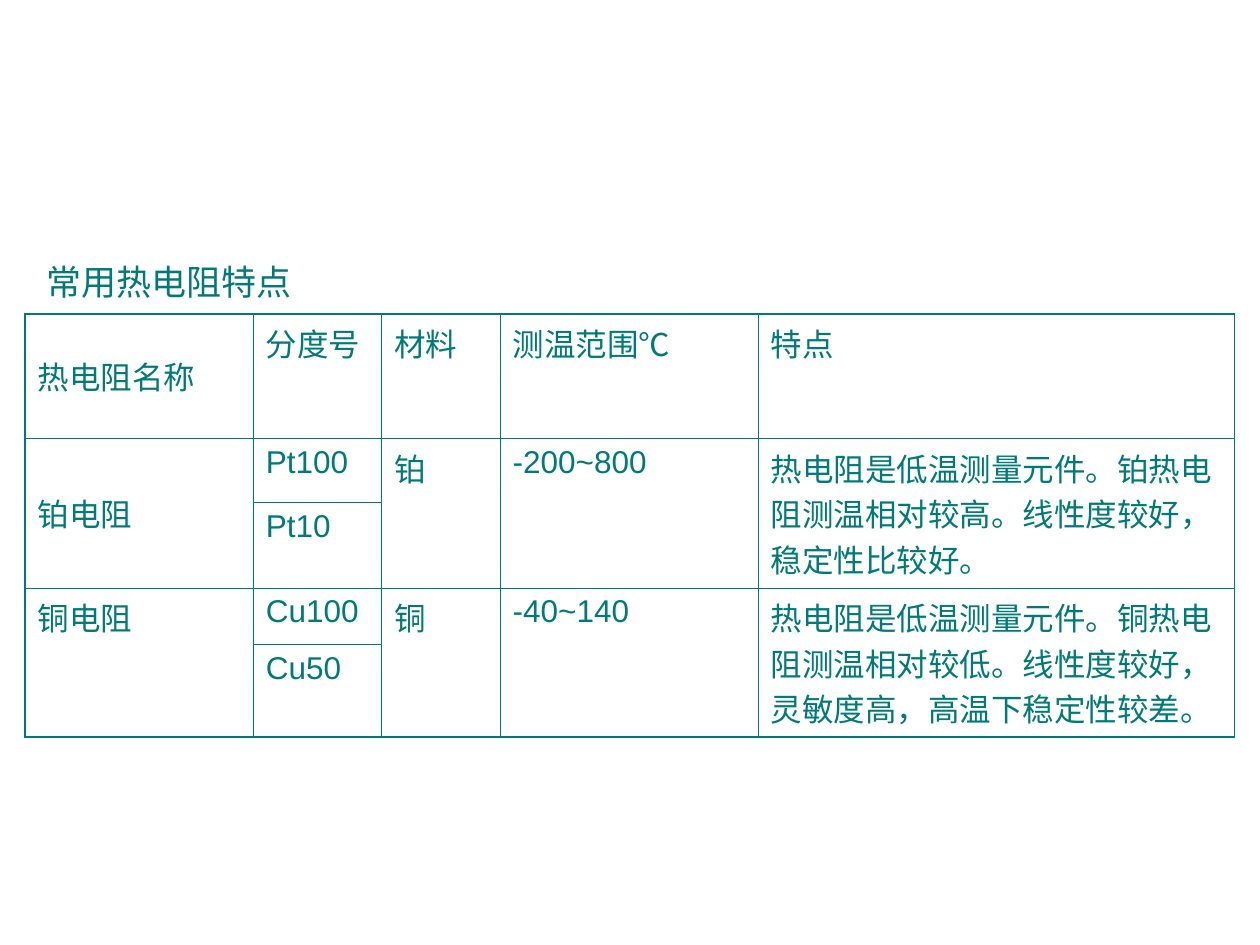
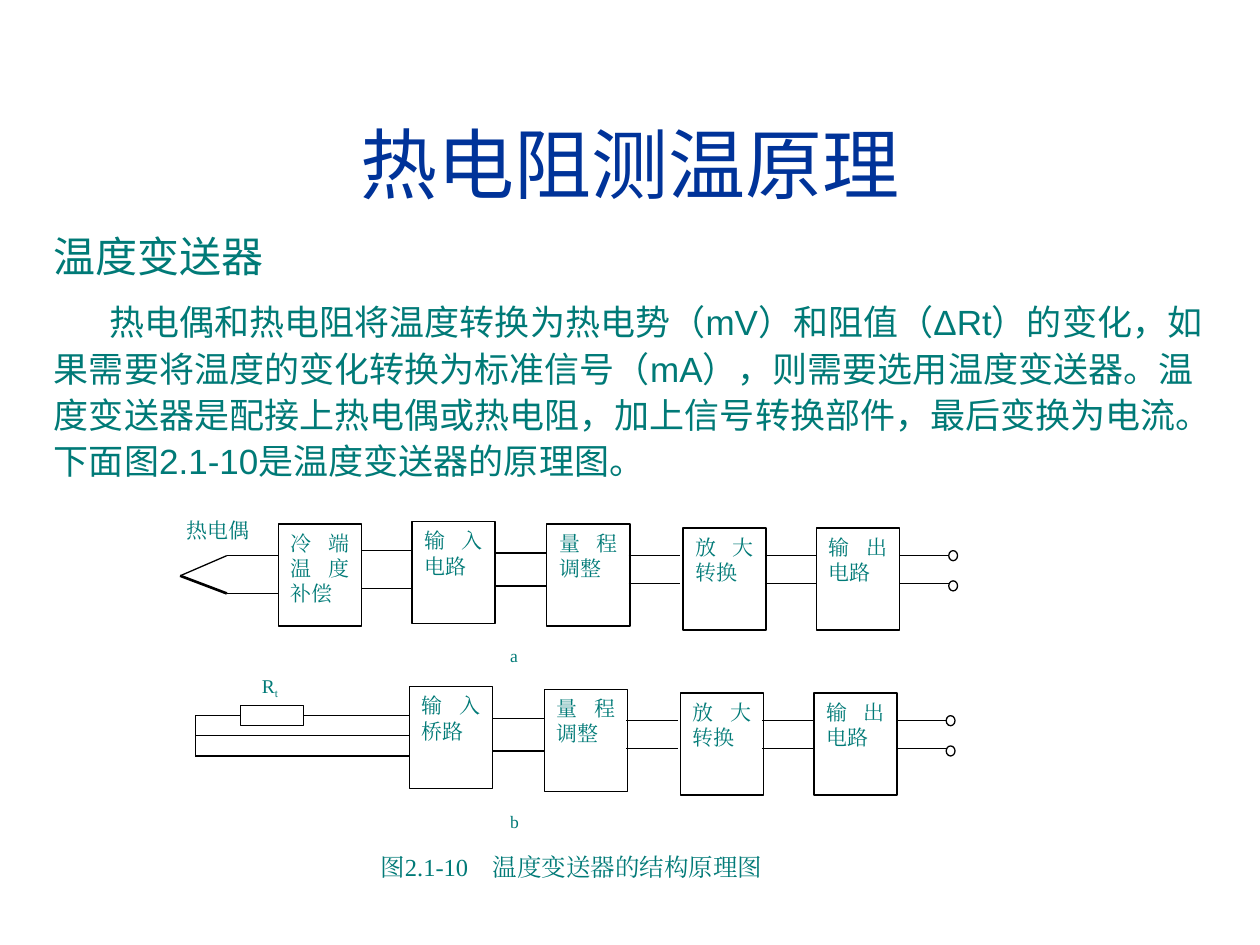
from lxml import etree
from pptx import Presentation
from pptx.dml.color import RGBColor
from pptx.enum.shapes import MSO_CONNECTOR as Conn, MSO_SHAPE as Shape
from pptx.enum.text import MSO_ANCHOR as Anchor, PP_ALIGN as Align
from pptx.oxml.ns import qn
from pptx.util import Inches, Pt

COLORS = {"text": "007A77", "title": "003399", "line": "000000", "fill": "FFFFFF"}
SANS, SERIF = "Arial", "Times New Roman"
TITLE_ONLY, BLANK = 5, 6
OUTER, INNER = 1.08, 0.45


def rgb(name):
    return RGBColor.from_string(COLORS[name])


def write(tf, text, size=12, font=SANS, color="text", align=None, before=0,
          spacing=None, indent=0, tab=None, sub="", ea=True, new=False):
    """Fill the first paragraph of tf, or a new one; sub is set as subscript."""
    p = tf.add_paragraph() if new else tf.paragraphs[0]
    p.alignment = align
    p.space_before = Pt(before)
    p.line_spacing = spacing
    pPr = p._p.get_or_add_pPr()
    if indent:
        pPr.set("indent", str(Inches(indent)))
    if tab:
        tabs = etree.SubElement(pPr, qn("a:tabLst"))
        etree.SubElement(tabs, qn("a:tab"), pos=str(Inches(tab)), algn="l")
    for part in filter(None, (text, sub)):
        r = p.add_run()
        r.text = part
        r.font.size = Pt(size)
        r.font.name = font
        r.font.color.rgb = rgb(color)
        rPr = r._r.get_or_add_rPr()
        if ea:
            etree.SubElement(rPr, qn("a:ea"), typeface=font)
        if part is sub:
            rPr.set("baseline", "-25000")


class Deck:
    def __init__(self):
        self.prs = Presentation()
        self.prs.slide_width, self.prs.slide_height = Inches(10), Inches(7.5)
        self.s = None

    def slide(self, layout):
        self.s = self.prs.slides.add_slide(self.prs.slide_layouts[layout])

    def title(self, text, box):
        sp = self.s.shapes.title
        sp.left, sp.top, sp.width, sp.height = map(Inches, box)
        sp.text_frame.vertical_anchor = Anchor.MIDDLE
        write(sp.text_frame, text, size=44, color="title", align=Align.CENTER)

    def text(self, text, box, **fmt):
        tf = self.s.shapes.add_textbox(*map(Inches, box)).text_frame
        tf.word_wrap = True
        write(tf, text, **fmt)
        return tf

    def label(self, text, box, **fmt):
        self.text(text, box, font=SERIF, align=Align.JUSTIFY, **fmt)

    def shape(self, kind, box, text=""):
        sp = self.s.shapes.add_shape(kind, *map(Inches, box))
        sp.shadow.inherit = False
        sp.fill.solid()
        sp.fill.fore_color.rgb = rgb("fill")
        sp.line.color.rgb = rgb("line")
        sp.line.width = Pt(0.75)
        if text:
            sp.text_frame.word_wrap = True
            sp.text_frame.vertical_anchor = Anchor.TOP
            write(sp.text_frame, text, font=SERIF, align=Align.JUSTIFY)
        return sp

    def line(self, x1, y1, x2, y2, width=0.75):
        cx = self.s.shapes.add_connector(Conn.STRAIGHT, *map(Inches, (x1, y1, x2, y2)))
        cx.line.color.rgb = rgb("line")
        cx.line.width = Pt(width)
        etree.SubElement(cx._element.spPr, qn("a:effectLst"))
        return cx

    def table(self, rows, box, widths, heights, merges, middle):
        table = self.s.shapes.add_table(len(rows), len(widths), *map(Inches, box)).table
        table.first_row = table.horz_banding = False
        for col, width in zip(table.columns, widths):
            col.width = Inches(width)
        for row, height in zip(table.rows, heights):
            row.height = Inches(height)
        for (top, left), (bottom, right) in merges:
            table.cell(top, left).merge(table.cell(bottom, right))
        for i, row in enumerate(rows):
            for j, text in enumerate(row):
                cell = table.cell(i, j)
                borders = {"L": j == 0, "R": j == len(widths) - 1}
                if not cell.is_spanned:
                    borders["T"] = i == 0
                borders["B"] = i + cell.span_height == len(rows)
                self.borders(cell, borders)
                cell.fill.background()
                if text:
                    write(cell.text_frame, text, size=18, ea=False)
                if (i, j) in middle:
                    cell.vertical_anchor = Anchor.MIDDLE

    def borders(self, cell, sides):
        """Draw the given sides; a true value marks the outer edge."""
        tcPr = cell._tc.get_or_add_tcPr()
        for side, outer in sides.items():
            ln = etree.SubElement(tcPr, qn(f"a:ln{side}"), w=str(Pt(OUTER if outer else INNER)))
            fill = etree.SubElement(ln, qn("a:solidFill"))
            etree.SubElement(fill, qn("a:srgbClr"), val=COLORS["text"])

    def chain(self, first_stage, dx=0, dy=0):
        """Draw the four stages from input to output, their wires and terminals."""
        stages = [(3.27, 4.14, first_stage), (4.34, 4.16, "量程调整"),
                  (5.42, 4.19, "放大转换"), (6.48, 4.19, "输出电路")]
        for x, y, name in stages:
            self.shape(Shape.RECTANGLE, (x + dx, y + dy, 0.66, 0.81), name)
        wires = [(3.93, 4.39, 4.65), (4.99, 4.41, 4.63), (6.07, 4.41, 4.63), (7.14, 4.41, 4.63)]
        for x, *ys in wires:
            for y in ys:
                self.line(x + dx, y + dy, x + dx + 0.41, y + dy)
        for y in (4.37, 4.61):
            self.shape(Shape.OVAL, (7.53 + dx, y + dy, 0.07, 0.08))


def resistor_table(deck):
    deck.slide(BLANK)
    rows = [
        ["热电阻名称", "分度号", "材料", "测温范围℃", "特点"],
        ["铂电阻", "Pt100", "铂", "-200~800",
         "热电阻是低温测量元件。铂热电阻测温相对较高。线性度较好，稳定性比较好。"],
        ["", "Pt10", "", "", ""],
        ["铜电阻", "Cu100", "铜", "-40~140",
         "热电阻是低温测量元件。铜热电阻测温相对较低。线性度较好，灵敏度高，高温下稳定性较差。"],
        ["", "Cu50", "", "", ""],
    ]
    merges = [((i, j), (i + 1, j)) for i in (1, 3) for j in (0, 2, 3, 4)]
    deck.table(rows, (0.2, 2.49, 9.61, 2.99), (1.81, 1.02, 0.94, 2.05, 3.78),
               (0.99, 0.51, 0.5, 0.45, 0.55), merges, middle={(0, 0), (1, 0)})
    deck.text("常用热电阻特点", (0.27, 2.02, 2.99, 0.44), size=20, ea=False)


def thermocouple_circuit(deck):
    deck.line(1.43, 4.57, 1.8, 4.41)
    deck.line(1.43, 4.57, 1.8, 4.71, width=1.5)
    for y in (4.41, 4.71):
        deck.line(1.8, y, 2.21, y)
    deck.shape(Shape.RECTANGLE, (2.21, 4.16, 0.66, 0.81), "冷端温度补偿")
    for y in (4.37, 4.67):
        deck.line(2.87, y, 3.27, y)
    deck.chain("输入电路")
    deck.label("热电偶", (1.38, 4.06, 0.78, 0.32))
    deck.label("a", (3.95, 5.07, 0.43, 0.32), size=10)


def resistor_circuit(deck):
    deck.chain("输入桥路", dx=-0.02, dy=1.31)
    resistor = deck.shape(Shape.RECTANGLE, (1.91, 5.6, 0.5, 0.16))
    deck.line(2.41, 5.68, 3.25, 5.68).begin_connect(resistor, 3)
    deck.line(1.91, 5.68, 1.55, 5.68).begin_connect(resistor, 1)
    for y in (5.84, 6):
        deck.line(1.55, y, 3.25, y)
    deck.line(1.55, 5.68, 1.55, 6)
    deck.label("R", (1.98, 5.3, 0.43, 0.32), size=11.1, sub="t", spacing=0.9)
    deck.label("b", (3.95, 6.39, 0.43, 0.32), size=10)


def transmitter(deck):
    deck.slide(TITLE_ONLY)
    deck.title("热电阻测温原理", (0.33, 0.67, 9.34, 1.25))
    tf = deck.text("温度变送器", (0.33, 1.78, 9.34, 4.59), size=24)
    write(tf, "热电偶和热电阻将温度转换为热电势（mV）和阻值（ΔRt）的变化，"
              "如果需要将温度的变化转换为标准信号（mA），则需要选用温度变送器。"
              "温度变送器是配接上热电偶或热电阻，加上信号转换部件，最后变换为电流。"
              "下面图2.1-10是温度变送器的原理图。",
          size=20, before=9, spacing=1.1, indent=0.44, new=True)
    thermocouple_circuit(deck)
    resistor_circuit(deck)
    deck.label("图2.1-10\t温度变送器的结构原理图", (2.92, 6.71, 3.31, 0.42), size=14, tab=0.89)


def main():
    deck = Deck()
    resistor_table(deck)
    transmitter(deck)
    deck.prs.save("out.pptx")


if __name__ == "__main__":
    main()
